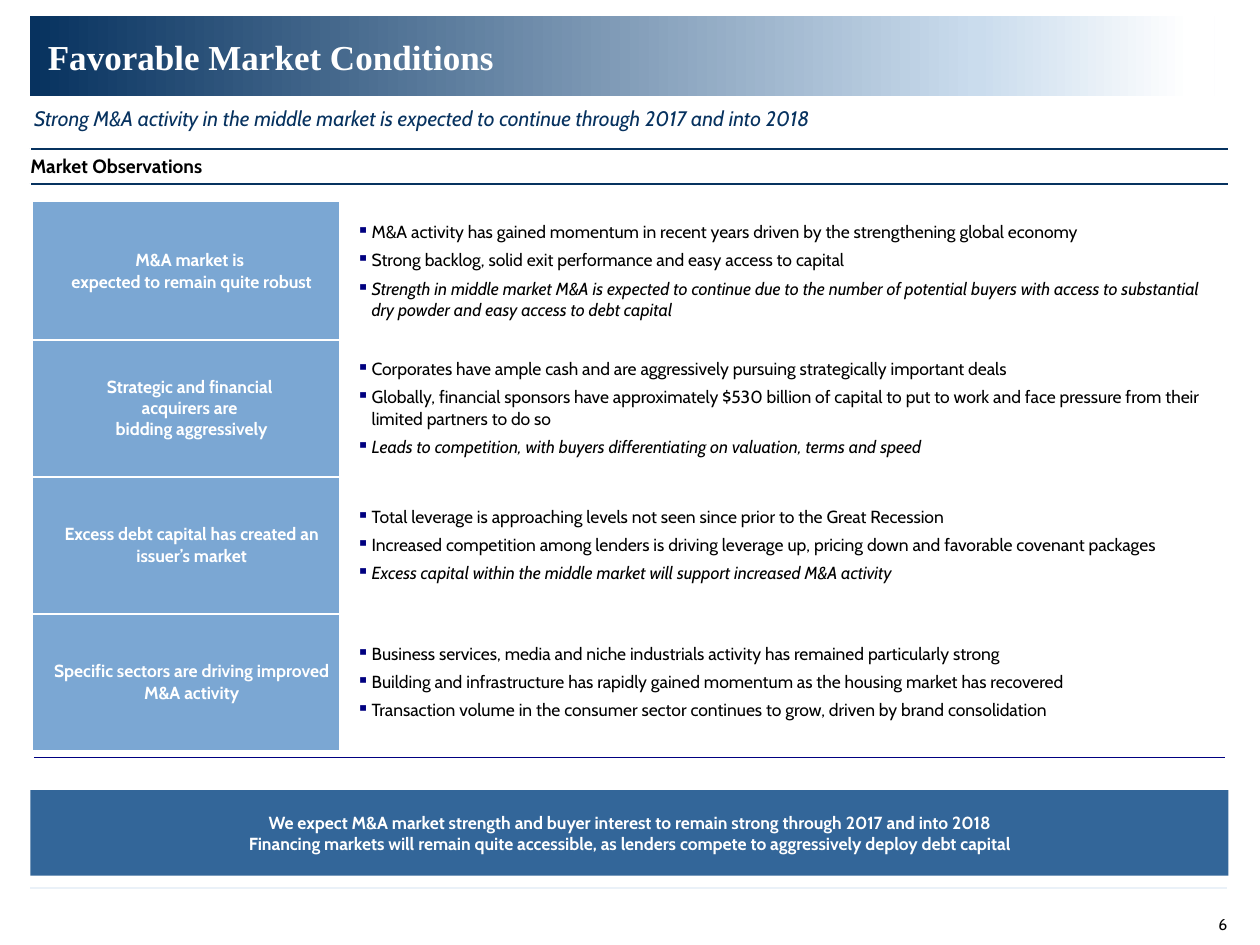
from lxml import etree
from pptx import Presentation, util as u
from pptx.dml.color import RGBColor
from pptx.enum import shapes, text
from pptx.oxml.ns import qn

COLORS = {"navy": "07325F", "pale": "CADCED", "white": "FFFFFF", "black": "000000", "sky": "7BA7D3",
          "steel": "336699", "bullet": "000080", "footer": "EAF1F8"}
LEFT, WIDTH = 0.24, 9.51
TABLE_LEFT, TABLE_WIDTH = 0.27, 9.45
BODY = {"name": "Cabin", "size": u.Pt(10)}
LABEL = {**BODY, "bold": True, "color": "white"}

OBSERVATIONS = [
    ("M&A market is \vexpected to remain quite robust", [
        "M&A activity has gained momentum in recent years driven by the strengthening global economy",
        "Strong backlog, solid exit performance and easy access to capital",
        "Strength in middle market M&A is expected to continue due to the number of potential buyers "
        "with access to substantial dry powder and easy access to debt capital"], True),
    ("Strategic and financial \vacquirers are \vbidding aggressively", [
        "Corporates have ample cash and are aggressively pursuing strategically important deals",
        "Globally, financial sponsors have approximately $530 billion of capital to put to work "
        "and face pressure from their limited partners to do so",
        "Leads to competition, with buyers differentiating on valuation, terms and speed"], True),
    ("Excess debt capital has created an issuer’s market", [
        "Total leverage is approaching levels not seen since prior to the Great Recession",
        "Increased competition among lenders is driving leverage up, pricing down and favorable "
        "covenant packages",
        "Excess capital within the middle market will support increased M&A activity"], True),
    ("Specific sectors are driving improved M&A activity", [
        "Business services, media and niche industrials activity has remained particularly strong",
        "Building and infrastructure has rapidly gained momentum as the housing market has recovered",
        "Transaction volume in the consumer sector continues to grow, driven by brand consolidation"], False),
]
CONCLUSION = [
    "We expect M&A market strength and buyer interest to remain strong through 2017 and into 2018",
    "Financing markets will remain quite accessible, as lenders compete to aggressively deploy debt capital",
]


def rgb(name):
    """Return a palette colour."""
    return RGBColor.from_string(COLORS[name])


def inches(*lengths):
    """Convert lengths in inches."""
    return [u.Inches(length) for length in lengths]


def set_margins(target, *margins):
    """Set left, top, right and bottom margins of a cell or text frame."""
    for side, margin in zip(("left", "top", "right", "bottom"), inches(*margins)):
        setattr(target, f"margin_{side}", margin)


def write(paragraph, content, style, alignment=text.PP_ALIGN.LEFT):
    """Fill a paragraph and format its runs."""
    paragraph.text = content
    paragraph.alignment = alignment
    for run in paragraph.runs:
        for key, value in style.items():
            if key == "color":
                run.font.color.rgb = rgb(value)
            else:
                setattr(run.font, key, value)


def write_lines(frame, lines, style, alignment=text.PP_ALIGN.LEFT):
    """Write one paragraph per line."""
    for index, line in enumerate(lines):
        paragraph = frame.add_paragraph() if index else frame.paragraphs[0]
        write(paragraph, line, style, alignment)


def indent(paragraph, margin, hanging=0):
    """Set the left margin and first-line indent of a paragraph."""
    properties = paragraph._p.get_or_add_pPr()
    properties.set("marL", str(u.Inches(margin)))
    properties.set("indent", str(u.Inches(hanging)))
    return properties


def add_bullet(paragraph):
    """Give a paragraph a small square bullet."""
    properties = indent(paragraph, 0.25, -0.12)
    color = etree.SubElement(properties, qn("a:buClr"))
    etree.SubElement(color, qn("a:srgbClr"), val=COLORS["bullet"])
    etree.SubElement(properties, qn("a:buChar"), char="▪")


def add_borders(cell, borders):
    """Draw cell borders given as side: (colour, points)."""
    properties = cell._tc.get_or_add_tcPr()
    for side, (color, points) in borders.items():
        line = etree.SubElement(properties, qn(f"a:ln{side}"), w=str(u.Pt(points)))
        fill = etree.SubElement(line, qn("a:solidFill"))
        etree.SubElement(fill, qn("a:srgbClr"), val=COLORS[color])


def add_plain_table(slide, rows, columns, *box):
    """Add a table without header or banding."""
    table = slide.shapes.add_table(rows, columns, *inches(*box)).table
    table.first_row = table.horz_banding = False
    for cell in table.iter_cells():
        cell.vertical_anchor = text.MSO_ANCHOR.MIDDLE
    return table


def add_rectangle(slide, *box):
    """Add a rectangle without outline or shadow."""
    shape = slide.shapes.add_shape(shapes.MSO_SHAPE.RECTANGLE, *inches(*box))
    shape.shadow.inherit = False
    shape.line.fill.background()
    return shape


def add_rule(slide, left, right, top, color, points):
    """Add a horizontal line."""
    rule = slide.shapes.add_connector(shapes.MSO_CONNECTOR.STRAIGHT, *inches(left, top, right, top))
    rule.line.color.rgb = rgb(color)
    rule.line.width = u.Pt(points)
    etree.SubElement(rule.element.spPr, qn("a:effectLst"))


def add_text(slide, box, margins, content, style, alignment=text.PP_ALIGN.LEFT, wrap=True):
    """Add a one-paragraph text box."""
    frame = slide.shapes.add_textbox(*inches(*box)).text_frame
    frame.word_wrap = wrap
    set_margins(frame, *margins)
    write(frame.paragraphs[0], content, style, alignment)


def add_banner(slide):
    """Add the gradient banner and place the title on it."""
    banner = add_rectangle(slide, LEFT, 0.13, 9.4, 0.63)
    banner.fill.gradient()
    banner.fill.gradient_angle = 0
    stops = banner.element.spPr.find(".//" + qn("a:gsLst"))
    stops.clear()
    for position, color in ((0, "navy"), (80, "pale"), (98, "white")):
        stop = etree.SubElement(stops, qn("a:gs"), pos=str(position * 1000))
        etree.SubElement(stop, qn("a:srgbClr"), val=COLORS[color])
    title = slide.shapes.title
    title.left, title.top, title.width, title.height = inches(0.38, 0.13, 7.79, 0.64)
    frame = title.text_frame
    frame.word_wrap = False
    frame.vertical_anchor = text.MSO_ANCHOR.MIDDLE
    set_margins(frame, 0, 0, 0, 0)
    write(frame.paragraphs[0], "Favorable Market Conditions",
          {"name": "Times New Roman", "size": u.Pt(20), "bold": True, "color": "white"})
    banner.element.addnext(title.element)


def add_observations(slide):
    """Add the table of topics and their bullets."""
    table = add_plain_table(slide, len(OBSERVATIONS), 2, TABLE_LEFT, 1.61, TABLE_WIDTH, 4.35)
    for column, width in zip(table.columns, inches(2.43, 7.02)):
        column.width = width
    for index, (topic, points, stressed) in enumerate(OBSERVATIONS):
        label, detail = table.cell(index, 0), table.cell(index, 1)
        set_margins(label, 0, 0.05, 0, 0.05)
        write(label.text_frame.paragraphs[0], topic, LABEL, text.PP_ALIGN.CENTER)
        indent(label.text_frame.paragraphs[0], 0.07)
        add_borders(label, {"L": ("sky", 1), "T": ("white" if index else "sky", 1), "B": ("white", 1)})
        label.fill.solid()
        label.fill.fore_color.rgb = rgb("sky")
        set_margins(detail, 0, 0.05, 0.05, 0.05)
        detail.fill.background()
        write_lines(detail.text_frame, points, {**BODY, "color": "black"})
        paragraphs = detail.text_frame.paragraphs
        for paragraph in paragraphs:
            add_bullet(paragraph)
        for paragraph in paragraphs[1:]:
            paragraph.space_before = u.Pt(4)
        paragraphs[-1].runs[0].font.italic = stressed


def add_conclusion(slide):
    """Add the closing message bar."""
    bar = add_rectangle(slide, LEFT, 6.27, WIDTH, 0.68)
    bar.fill.solid()
    bar.fill.fore_color.rgb = rgb("steel")
    bar.text_frame.vertical_anchor = text.MSO_ANCHOR.MIDDLE
    set_margins(bar.text_frame, 0.05, 0.05, 0.05, 0.05)
    write_lines(bar.text_frame, CONCLUSION, LABEL, text.PP_ALIGN.CENTER)


def add_section_heading(slide):
    """Add the ruled section heading."""
    cell = add_plain_table(slide, 1, 1, LEFT, 1.18, WIDTH, 0.28).cell(0, 0)
    set_margins(cell, 0, 0, 0, 0)
    add_borders(cell, {"T": ("navy", 1.5), "B": ("navy", 1.5)})
    cell.fill.background()
    write(cell.text_frame.paragraphs[0], "Market Observations",
          {**BODY, "size": u.Pt(11), "bold": True, "color": "black"})


def main():
    """Build and save the slide."""
    presentation = Presentation()
    presentation.slide_width, presentation.slide_height = inches(10, 7.5)
    slide = presentation.slides.add_slide(presentation.slide_layouts[5])
    add_banner(slide)
    add_rule(slide, LEFT, LEFT + 9.5, 7.05, "footer", 1)
    add_rule(slide, TABLE_LEFT, TABLE_LEFT + TABLE_WIDTH, 6.01, "bullet", 0.5)
    add_observations(slide)
    add_conclusion(slide)
    add_section_heading(slide)
    add_text(slide, (TABLE_LEFT, 0.79, 9.42, 0.25), (0, 0.05, 0, 0),
             "Strong M&A activity in the middle market is expected to continue through 2017 and into 2018",
             {**BODY, "size": u.Pt(12), "italic": True, "color": "navy"})
    add_text(slide, (9.67, 7.26, 0.07, 0.15), (0, 0, 0, 0), "6",
             {**BODY, "size": u.Pt(9), "color": "black"}, text.PP_ALIGN.RIGHT, False)
    presentation.save("out.pptx")


if __name__ == "__main__":
    main()
